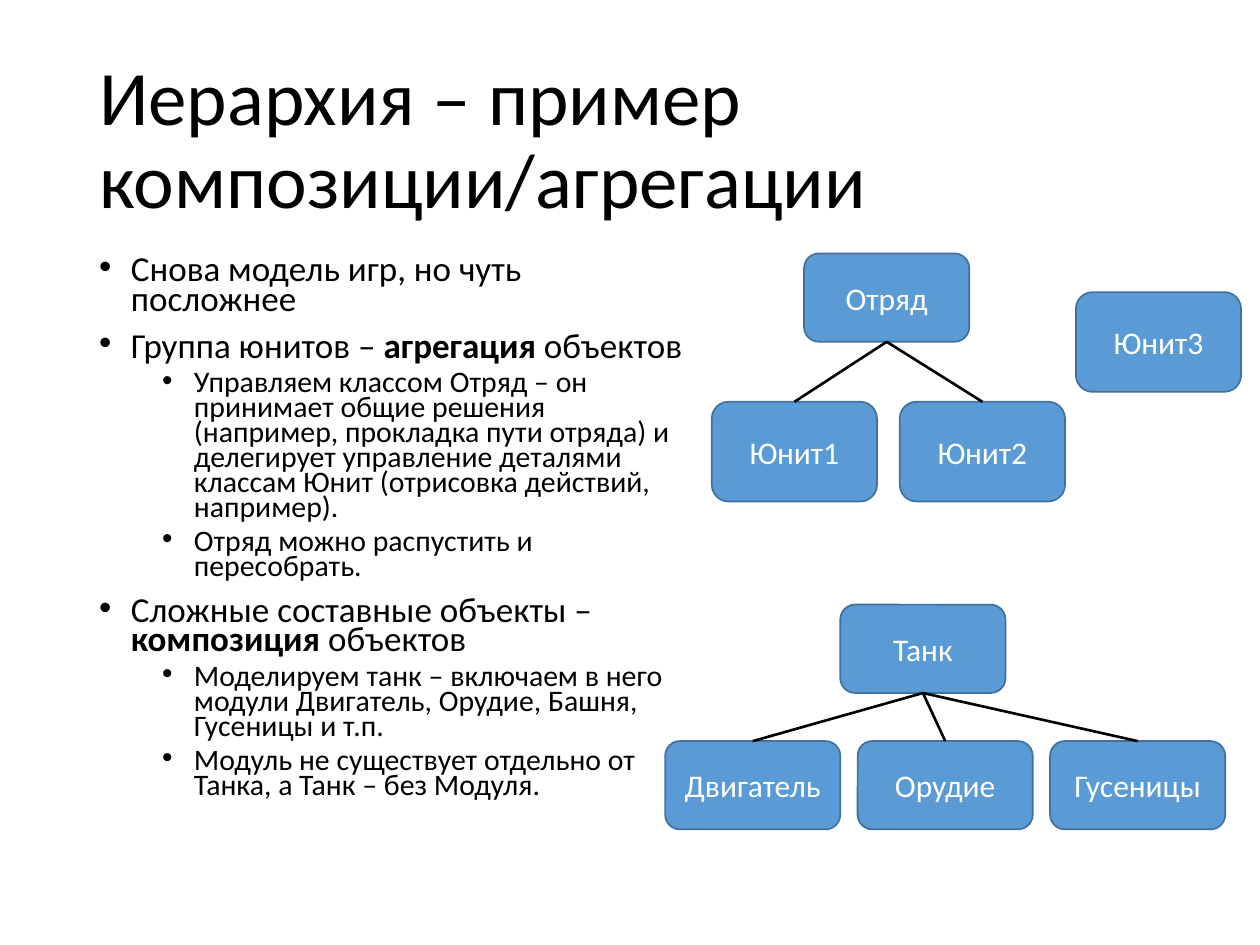
from lxml import etree
from pptx import Presentation
from pptx import util as u
from pptx.dml.color import RGBColor
from pptx.enum import shapes, text
from pptx.oxml import ns

COLORS = {"text": "000000", "box": "5B9BD5", "border": "41719C", "label": "FFFFFF"}
FONT = "Calibri"
LEVELS = [
    {"size": 20, "before": 10, "margin": 0.64},
    {"size": 17, "before": 5, "margin": 1.91},
]
HANGING = 0.64
TITLE = "Иерархия – пример композиции/агрегации"
BODY = [
    (0, [("Снова модель игр, но чуть посложнее", False)]),
    (0, [("Группа юнитов – ", False), ("агрегация", True), (" объектов", False)]),
    (1, [("Управляем классом Отряд – он принимает общие решения (например, прокладка "
          "пути отряда) и делегирует управление деталями классам Юнит (отрисовка "
          "действий, например).", False)]),
    (1, [("Отряд можно распустить и пересобрать.", False)]),
    (0, [("Сложные составные объекты – ", False), ("композиция", True), (" объектов", False)]),
    (1, [("Моделируем танк – включаем в него модули Двигатель, Орудие, Башня, "
          "Гусеницы и т.п.", False)]),
    (1, [("Модуль не существует отдельно от Танка, а Танк – без Модуля.", False)]),
]


def color(name):
    return RGBColor.from_string(COLORS[name])


def add_run(paragraph, words, size, color_name, bold=False):
    run = paragraph.add_run()
    run.text = words
    run.font.name = FONT
    run.font.size = u.Pt(size)
    run.font.bold = bold
    run.font.color.rgb = color(color_name)


def add_text_frame(slide, left, top, width, height, anchor):
    box = slide.shapes.add_textbox(u.Cm(left), u.Cm(top), u.Cm(width), u.Cm(height))
    frame = box.text_frame
    frame.word_wrap = True
    frame.vertical_anchor = anchor
    return frame


def add_title(slide):
    frame = add_text_frame(slide, 1.75, 1.02, 21.92, 3.68, text.MSO_ANCHOR.MIDDLE)
    paragraph = frame.paragraphs[0]
    paragraph.line_spacing = 0.9
    add_run(paragraph, TITLE, 44, "text")


def set_bullet(paragraph, margin):
    properties = paragraph._p.get_or_add_pPr()
    properties.set("marL", str(u.Cm(margin)))
    properties.set("indent", str(-u.Cm(HANGING)))
    etree.SubElement(properties, ns.qn("a:buFont"), typeface="Arial")
    etree.SubElement(properties, ns.qn("a:buChar"), char="•")


def add_body(slide):
    frame = add_text_frame(slide, 1.75, 5.08, 12.32, 12.09, text.MSO_ANCHOR.TOP)
    for index, (level, runs) in enumerate(BODY):
        paragraph = frame.add_paragraph() if index else frame.paragraphs[0]
        style = LEVELS[level]
        set_bullet(paragraph, style["margin"])
        paragraph.level = level
        paragraph.line_spacing = 0.7
        if index:
            paragraph.space_before = u.Pt(style["before"])
        for words, bold in runs:
            add_run(paragraph, words, style["size"], "text", bold)


def add_box(slide, label, left, top, width, height):
    shape = slide.shapes.add_shape(
        shapes.MSO_SHAPE.ROUNDED_RECTANGLE,
        u.Cm(left), u.Cm(top), u.Cm(width), u.Cm(height))
    shape.shadow.inherit = False
    shape.fill.solid()
    shape.fill.fore_color.rgb = color("box")
    shape.line.color.rgb = color("border")
    shape.line.width = u.Pt(1)
    frame = shape.text_frame
    frame.word_wrap = True
    frame.vertical_anchor = text.MSO_ANCHOR.MIDDLE
    paragraph = frame.paragraphs[0]
    paragraph.alignment = text.PP_ALIGN.CENTER
    add_run(paragraph, label, 18, "label")
    return shape


def add_link(slide, parent, child):
    connector = slide.shapes.add_connector(shapes.MSO_CONNECTOR.STRAIGHT, 0, 0, 0, 0)
    connector.begin_connect(parent, 2)
    connector.end_connect(child, 0)
    connector.line.color.rgb = color("text")
    connector.line.width = u.Pt(1.5)
    etree.SubElement(connector._element.spPr, ns.qn("a:effectLst"))


def add_tree(slide, parent, children):
    for child in children:
        add_link(slide, parent, child)


def main():
    presentation = Presentation()
    presentation.slide_width = u.Cm(25.4)
    presentation.slide_height = u.Cm(19.05)
    slide = presentation.slides.add_slide(presentation.slide_layouts[6])
    add_title(slide)
    add_body(slide)

    squad = add_box(slide, "Отряд", 16.21, 5.11, 3.33, 1.78)
    units = [add_box(slide, label, left, top, 3.33, 2.01)
             for label, left, top in [("Юнит1", 14.35, 8.1), ("Юнит2", 18.14, 8.1),
                                      ("Юнит3", 21.69, 5.89)]]
    add_tree(slide, squad, units[:2])

    tank = add_box(slide, "Танк", 16.94, 12.19, 3.33, 1.78)
    modules = [add_box(slide, label, 13.41 + 3.88 * index, 14.94, 3.53, 1.78)
               for index, label in enumerate(["Двигатель", "Орудие", "Гусеницы"])]
    add_tree(slide, tank, modules)

    presentation.save("out.pptx")


if __name__ == "__main__":
    main()
